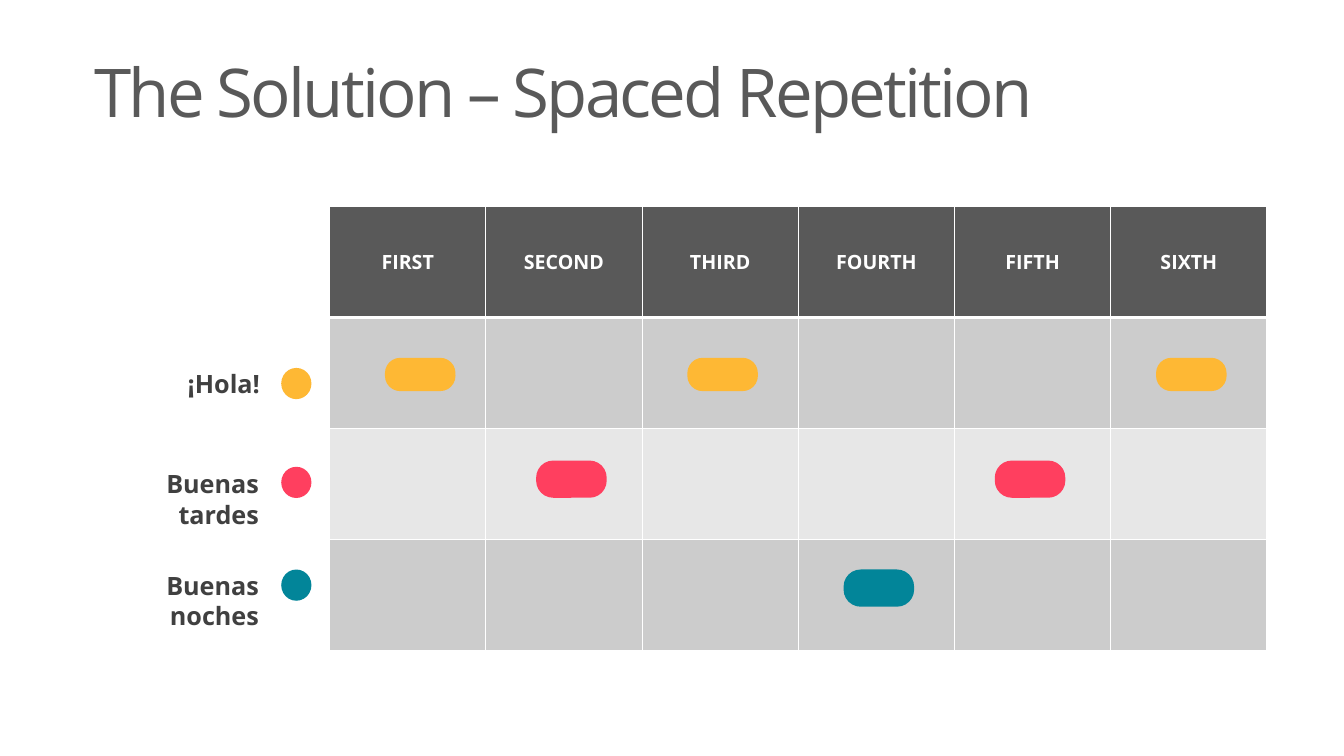
from dataclasses import dataclass

from lxml import etree
from pptx import Presentation
from pptx.dml.color import RGBColor
from pptx.enum import shapes, text
from pptx.oxml import ns
from pptx.util import Pt


@dataclass(frozen=True)
class Theme:
    font: str = "Open Sans"
    dark: str = "595959"
    label: str = "404040"
    white: str = "FFFFFF"
    band: str = "CCCCCC"
    light_band: str = "E7E7E7"
    yellow: str = "FEB834"
    red: str = "FF3F5F"
    teal: str = "028599"
    title_size: float = 48
    label_size: float = 18
    header_size: float = 14


@dataclass(frozen=True)
class Box:
    left: float
    top: float
    width: float
    height: float

    def lengths(self) -> tuple:
        return Pt(self.left), Pt(self.top), Pt(self.width), Pt(self.height)


@dataclass(frozen=True)
class Phrase:
    wording: str
    color: str
    label_left: float
    label_top: float
    dot_top: float
    pill_top: float
    pill_height: float
    pill_lefts: tuple


THEME = Theme()
HEADERS = ("FIRST", "SECOND", "THIRD", "FOURTH", "FIFTH", "SIXTH")
ROW_COLORS = (THEME.dark, THEME.band, THEME.light_band, THEME.band)
COLUMN_WIDTH, ROW_HEIGHT = 111.6, 79.2
PHRASES = (
    Phrase("¡Hola!", THEME.yellow, 70.5, 262.8, 262.8, 255.6, 23.8, (275, 491, 825.8)),
    Phrase("Buenas tardes", THEME.red, 69.8, 334.8, 333.4, 329, 26.6, (383, 710.6)),
    Phrase("Buenas noches", THEME.teal, 69.8, 407.5, 406.8, 406.8, 26.6, (602.6,)),
)


def style_paragraph(paragraph, size: float, color: str, bold: bool, alignment) -> None:
    paragraph.alignment = alignment
    font = paragraph.font
    font.name, font.size, font.bold = THEME.font, Pt(size), bold
    font.color.rgb = RGBColor.from_string(color)


def add_title(slide, wording: str) -> None:
    frame = slide.shapes.add_textbox(*Box(62.64, 46.8, 835.2, 43.2).lengths()).text_frame
    frame.word_wrap = True
    frame.vertical_anchor = text.MSO_ANCHOR.MIDDLE
    frame.margin_left = Pt(5)
    paragraph = frame.paragraphs[0]
    paragraph.line_spacing = 0.9
    run = paragraph.add_run()
    run.text = wording
    run.font._element.set("spc", "-200")
    style_paragraph(paragraph, THEME.title_size, THEME.dark, False, text.PP_ALIGN.LEFT)


def add_label(slide, wording: str, box: Box) -> None:
    frame = slide.shapes.add_textbox(*box.lengths()).text_frame
    frame.word_wrap = False
    frame.margin_left = frame.margin_top = frame.margin_right = frame.margin_bottom = 0
    paragraph = frame.paragraphs[0]
    paragraph.text = wording
    style_paragraph(paragraph, THEME.label_size, THEME.label, True, text.PP_ALIGN.RIGHT)


def add_marker(slide, kind: shapes.MSO_SHAPE, box: Box, color: str):
    shape = slide.shapes.add_shape(kind, *box.lengths())
    shape.shadow.inherit = False
    shape.fill.solid()
    shape.fill.fore_color.rgb = RGBColor.from_string(color)
    shape.line.fill.background()
    return shape


def set_borders(cell, widths: dict) -> None:
    properties = cell._tc.get_or_add_tcPr()
    for position, (side, width) in enumerate(widths.items()):
        line = etree.Element(ns.qn(f"a:ln{side}"), w=str(Pt(width)))
        fill = etree.SubElement(line, ns.qn("a:solidFill"))
        etree.SubElement(fill, ns.qn("a:srgbClr"), val=THEME.white)
        properties.insert(position, line)


def add_schedule(slide) -> None:
    rows, columns = len(ROW_COLORS), len(HEADERS)
    box = Box(235.44, 147.6, COLUMN_WIDTH * columns, ROW_HEIGHT * rows)
    table = slide.shapes.add_table(rows, columns, *box.lengths()).table
    table.horz_banding = False
    for column in table.columns:
        column.width = Pt(COLUMN_WIDTH)
    for row_index, (row, color) in enumerate(zip(table.rows, ROW_COLORS)):
        row.height = Pt(ROW_HEIGHT)
        top, bottom = (3 if row_index == 1 else 1), (3 if row_index == 0 else 1)
        for cell in row.cells:
            cell.fill.solid()
            cell.fill.fore_color.rgb = RGBColor.from_string(color)
            set_borders(cell, {"L": 1, "R": 1, "T": top, "B": bottom})
    for cell, header in zip(table.rows[0].cells, HEADERS):
        cell.text = header
        cell.vertical_anchor = text.MSO_ANCHOR.MIDDLE
        style_paragraph(cell.text_frame.paragraphs[0], THEME.header_size,
                        THEME.white, True, text.PP_ALIGN.CENTER)


def add_phrase(slide, phrase: Phrase) -> None:
    add_label(slide, phrase.wording, Box(phrase.label_left, phrase.label_top, 115.2, 14.4))
    add_marker(slide, shapes.MSO_SHAPE.OVAL, Box(200.9, phrase.dot_top, 21.6, 22.3), phrase.color)
    for left in phrase.pill_lefts:
        box = Box(left, phrase.pill_top, 50.4, phrase.pill_height)
        pill = add_marker(slide, shapes.MSO_SHAPE.ROUNDED_RECTANGLE, box, phrase.color)
        pill.adjustments[0] = 0.46


def main() -> None:
    presentation = Presentation()
    presentation.slide_width, presentation.slide_height = Pt(960), Pt(540)
    slide = presentation.slides.add_slide(presentation.slide_layouts[6])
    add_title(slide, "The Solution – Spaced Repetition")
    add_schedule(slide)
    for phrase in PHRASES:
        add_phrase(slide, phrase)
    presentation.save("out.pptx")


if __name__ == "__main__":
    main()
